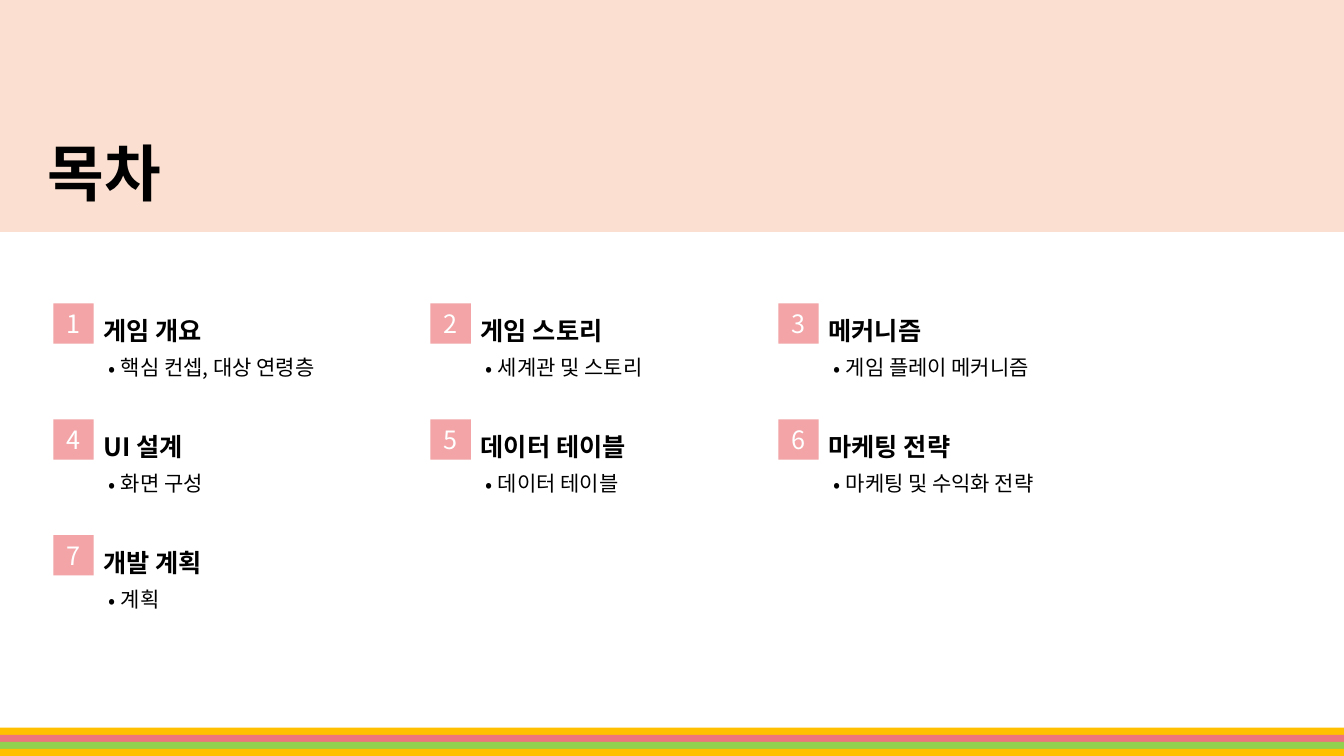
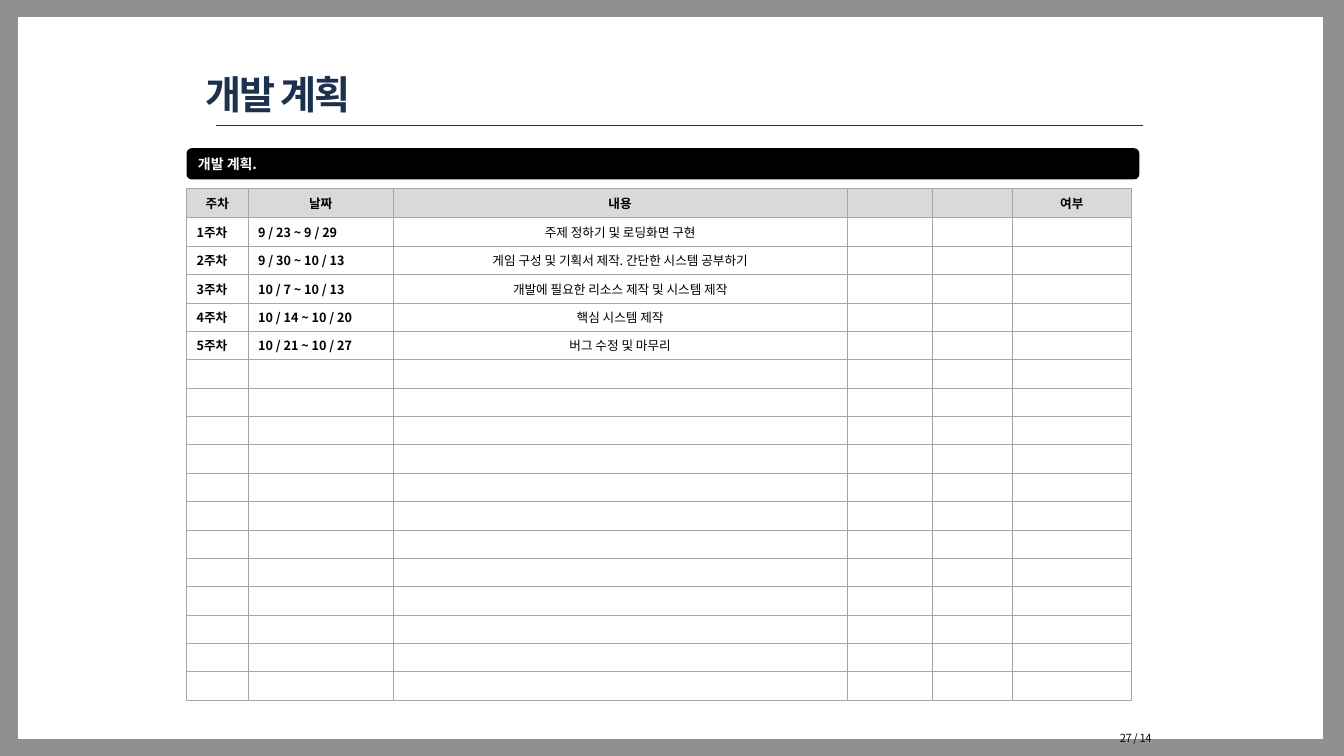
from lxml import etree
from pptx import Presentation
from pptx.dml.color import RGBColor
from pptx.enum.shapes import MSO_CONNECTOR, MSO_SHAPE
from pptx.enum.text import MSO_ANCHOR, MSO_AUTO_SIZE, PP_ALIGN
from pptx.oxml.ns import qn
from pptx.util import Pt

RECT, ROUND = MSO_SHAPE.RECTANGLE, MSO_SHAPE.ROUNDED_RECTANGLE
LINE = MSO_CONNECTOR.STRAIGHT
TOP, MID = MSO_ANCHOR.TOP, MSO_ANCHOR.MIDDLE
LEFT, CENTER, RIGHT = PP_ALIGN.LEFT, PP_ALIGN.CENTER, PP_ALIGN.RIGHT
NO_FIT = MSO_AUTO_SIZE.NONE

FONT = "Noto Sans CJK KR"
UNIT = 9144
WIDE, HIGH = 1333, 750
COLORS = {
    "black": "000000", "white": "FFFFFF", "peach": "FBE0D1", "gold": "FFC000",
    "green": "92D050", "rose": "EC767C", "pink": "F2A4A7", "navy": "1C314E",
    "gray": "909090", "head": "D9D9D9", "rule": "A6A6A6", "ink": "0D0D0D",
}
TOPICS = [
    ("게임 개요", "핵심 컨셉, 대상 연령층"),
    ("게임 스토리", "세계관 및 스토리"),
    ("메커니즘", "게임 플레이 메커니즘"),
    ("UI 설계", "화면 구성"),
    ("데이터 테이블", "데이터 테이블"),
    ("마케팅 전략", "마케팅 및 수익화 전략"),
    ("개발 계획", "계획"),
]
HEADS = ["주차", "날짜", "내용", "", "", "여부"]
WEEKS = [
    ("1주차", "9 / 23 ~ 9 / 29", "주제 정하기 및 로딩화면 구현"),
    ("2주차", "9 / 30 ~ 10 / 13", "게임 구성 및 기획서 제작. 간단한 시스템 공부하기"),
    ("3주차", "10 / 7 ~ 10 / 13", "개발에 필요한 리소스 제작 및 시스템 제작"),
    ("4주차", "10 / 14 ~ 10 / 20", "핵심 시스템 제작"),
    ("5주차", "10 / 21 ~ 10 / 27", "버그 수정 및 마무리"),
]
COLS = [61, 144, 450, 85, 79, 118]
ROWS = 18


def px(n):
    return round(n * UNIT)


def box(x, y, w, h):
    return px(x), px(y), px(w), px(h)


def color(name):
    return RGBColor.from_string(COLORS[name])


def write(frame, text, size=18, tone="black", bold=False, align=LEFT,
          anchor=TOP, space=0, bullet=False):
    frame.word_wrap = True
    frame.vertical_anchor = anchor
    para = frame.paragraphs[0]
    para.alignment = align
    run = para.add_run()
    run.text = text
    font = run.font
    font.size, font.bold, font.name = Pt(size), bold, FONT
    font.color.rgb = color(tone)
    props = font._element
    etree.SubElement(props, qn("a:ea"), typeface=FONT)
    if space:
        props.set("spc", str(space))
    if bullet:
        style = para._p.get_or_add_pPr()
        style.set("marL", str(px(12)))
        style.set("indent", str(px(-12)))
        etree.SubElement(style, qn("a:buFont"), typeface=FONT)
        etree.SubElement(style, qn("a:buChar"), char="•")


def block(shapes, area, fill, kind=RECT):
    shape = shapes.add_shape(kind, *box(*area))
    shape.shadow.inherit = False
    shape.fill.solid()
    shape.fill.fore_color.rgb = color(fill)
    shape.line.fill.background()
    return shape


def label(shapes, area, text, **form):
    frame = shapes.add_textbox(*box(*area)).text_frame
    write(frame, text, **form)


def title(slide, area, text, **form):
    head = slide.shapes.title
    head.left, head.top, head.width, head.height = box(*area)
    write(head.text_frame, text, bold=True, anchor=MID, **form)
    head.text_frame.auto_size = NO_FIT
    node = head._element
    node.getparent().append(node)


def stripes(slide, y, h):
    group = slide.shapes.add_group_shape().shapes
    for i, tone in enumerate(["gold", "rose", "green", "gold"]):
        block(group, (0, y + i * h, WIDE, h), tone)


def topic(slide, x, y, num, name, note):
    group = slide.shapes.add_group_shape().shapes
    badge = block(group, (x, y, 40, 40), "pink")
    write(badge.text_frame, str(num), tone="white", align=CENTER, anchor=MID)
    label(group, (x + 40, y + 7, 300, 40), name, bold=True)
    label(group, (x + 45, y + 46, 300, 35), note, size=15, bullet=True)


def agenda(slide):
    block(slide.shapes, (0, 0, WIDE, 230), "peach")
    title(slide, (37, 122, 933, 97), "목차", size=44)
    stripes(slide, 722, 7)
    lefts = [53, 427, 772]
    for i, (name, note) in enumerate(TOPICS):
        row, col = divmod(i, len(lefts))
        topic(slide, lefts[col], 301 + 115 * row, i + 1, name, note)


def border(cell):
    props = cell._tc.get_or_add_tcPr()
    for side in ("lnL", "lnR", "lnT", "lnB"):
        line = etree.SubElement(props, qn("a:" + side), w=str(Pt(0.5)))
        fill = etree.SubElement(line, qn("a:solidFill"))
        etree.SubElement(fill, qn("a:srgbClr"), val=COLORS["rule"])


def fill_cell(cell, text, tone, bold, align):
    border(cell)
    cell.fill.solid()
    cell.fill.fore_color.rgb = color(tone)
    cell.vertical_anchor = MID
    cell.margin_top = cell.margin_bottom = px(4)
    if text:
        write(cell.text_frame, text, size=9, bold=bold, align=align, anchor=MID)
    else:
        para = cell.text_frame.paragraphs[0]._p
        etree.SubElement(para, qn("a:endParaRPr"), sz="900")


def plan(slide, x, y, w, h):
    table = slide.shapes.add_table(ROWS, len(COLS), *box(x, y, w, h)).table
    table.first_row = table.horz_banding = False
    for col, wide in zip(table.columns, COLS):
        col.width = px(wide)
    for i, row in enumerate(table.rows):
        row.height = px(29 if i == 0 else (h - 29) / (ROWS - 1))
        texts = HEADS if i == 0 else WEEKS[i - 1] if i <= len(WEEKS) else ()
        for j, cell in enumerate(row.cells):
            text = texts[j] if j < len(texts) else ""
            fill_cell(cell, text, "white" if i else "head",
                      i == 0 or j < 2, CENTER if i == 0 or j == 2 else LEFT)


def rule(slide, x, y, w):
    line = slide.shapes.add_connector(LINE, px(x), px(y), px(x + w), px(y))
    line.line.color.rgb = color("navy")
    line.line.width = Pt(0.25)
    etree.SubElement(line._element.spPr, qn("a:effectLst"))


def schedule(slide):
    group = slide.shapes.add_group_shape().shapes
    block(group, (0, 0, WIDE, HIGH), "gray")
    block(group, (18, 17, 1294, 716), "white")
    bar = block(slide.shapes, (185, 147, 945, 31), "black", ROUND)
    write(bar.text_frame, "개발 계획.", size=10, tone="white", bold=True, anchor=MID)
    plan(slide, 185, 187, sum(COLS), 508)
    rule(slide, 214, 124, 920)
    title(slide, (194, 61, 765, 64), "개발 계획", size=28, tone="navy", space=-150)
    label(slide.shapes, (979, 721, 173, 24), "27 / 14", size=8, tone="ink",
          align=RIGHT, space=-30)


def main():
    deck = Presentation()
    deck.slide_width, deck.slide_height = px(WIDE), px(HIGH)
    for build in (agenda, schedule):
        build(deck.slides.add_slide(deck.slide_layouts[5]))
    deck.save("out.pptx")


if __name__ == "__main__":
    main()
